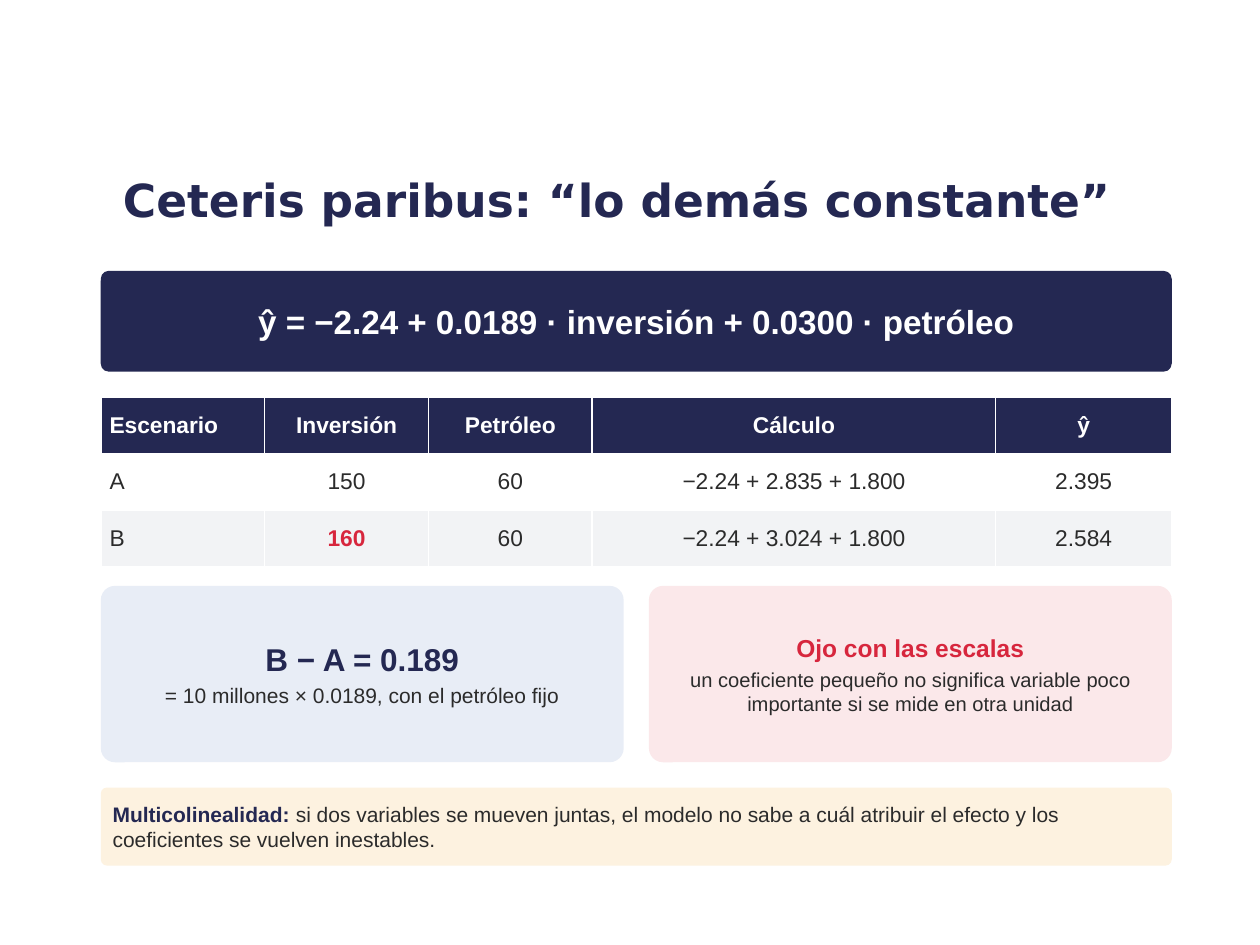
from dataclasses import dataclass

import pptx
import pptx.dml.color
import pptx.enum.shapes
import pptx.enum.text
import pptx.util
from pptx.util import Inches

COLORS = {
    "navy": "242852", "white": "FFFFFF", "ink": "2B2B2B", "red": "D7263D",
    "gray": "F2F3F5", "blue": "E8EDF6", "pink": "FBE8EA", "cream": "FDF2E0",
}
ALIGN = pptx.enum.text.PP_ALIGN
MIDDLE = pptx.enum.text.MSO_ANCHOR.MIDDLE

LEFT, WIDTH, GAP = 0.8, 8.5, 0.2
HALF = (WIDTH - GAP) / 2


@dataclass
class Span:
    text: str
    size: float
    color: str
    bold: bool = False
    face: str = "Arial"


@dataclass
class Card:
    left: float
    top: float
    width: float
    height: float
    fill: str
    paragraphs: list[list[Span]]
    align: ALIGN = ALIGN.CENTER


CARDS = [
    Card(LEFT, 2.15, WIDTH, 0.8, "navy", [
        [Span("ŷ = −2.24 + 0.0189 · inversión + 0.0300 · petróleo", 19, "white", True)],
    ]),
    Card(LEFT, 4.65, HALF, 1.4, "blue", [
        [Span("B − A = 0.189", 18, "navy", True)],
        [Span("= 10 millones × 0.0189, con el petróleo fijo", 12, "ink")],
    ]),
    Card(LEFT + HALF + GAP, 4.65, HALF, 1.4, "pink", [
        [Span("Ojo con las escalas", 14, "red", True)],
        [Span("un coeficiente pequeño no significa variable poco importante "
              "si se mide en otra unidad", 11.5, "ink")],
    ]),
    Card(LEFT, 6.25, WIDTH, 0.62, "cream", [
        [Span("Multicolinealidad: ", 12, "navy", True),
         Span("si dos variables se mueven juntas, el modelo no sabe a cuál atribuir "
              "el efecto y los coeficientes se vuelven inestables.", 12, "ink")],
    ], ALIGN.LEFT),
]

SCENARIOS = [
    ["Escenario", "Inversión", "Petróleo", "Cálculo", "ŷ"],
    ["A", "150", "60", "−2.24 + 2.835 + 1.800", "2.395"],
    ["B", "160", "60", "−2.24 + 3.024 + 1.800", "2.584"],
]
COLUMN_WIDTHS = [1.3, 1.3, 1.3, 3.2, 1.4]
ROW_HEIGHT = 0.45
ROW_FILLS = ["navy", "white", "gray"]
CHANGED_CELL = (2, 1)


def rgb(name: str) -> pptx.dml.color.RGBColor:
    return pptx.dml.color.RGBColor.from_string(COLORS[name])


def style_font(font, span: Span) -> None:
    font.name = span.face
    font.size = pptx.util.Pt(span.size)
    font.bold = span.bold
    font.color.rgb = rgb(span.color)


def write_paragraph(para, spans: list[Span], align: ALIGN) -> None:
    para.alignment = align
    for span in spans:
        run = para.add_run()
        run.text = span.text
        if len(spans) > 1:
            style_font(run.font, span)
    if len(spans) == 1:
        style_font(para.font, spans[0])


def set_margins(holder, horizontal: float, vertical: float) -> None:
    holder.margin_left = holder.margin_right = Inches(horizontal)
    holder.margin_top = holder.margin_bottom = Inches(vertical)


def place_title(page) -> None:
    title = page.shapes.title
    title.left, title.top = Inches(0.75), Inches(1.18)
    title.width, title.height = Inches(8.3), Inches(0.8)
    frame = title.text_frame
    frame.vertical_anchor = MIDDLE
    frame.word_wrap = True
    set_margins(frame, 0.1, 0.05)
    heading = Span("Ceteris paribus: “lo demás constante”", 26, "navy", True, "DejaVu Sans")
    write_paragraph(frame.paragraphs[0], [heading], ALIGN.CENTER)


def draw_card(page, card: Card) -> None:
    box = page.shapes.add_shape(
        pptx.enum.shapes.MSO_SHAPE.ROUNDED_RECTANGLE,
        Inches(card.left), Inches(card.top), Inches(card.width), Inches(card.height))
    box.adjustments[0] = 0.08
    box.shadow.inherit = False
    box.fill.solid()
    box.fill.fore_color.rgb = rgb(card.fill)
    box.line.fill.background()
    frame = box.text_frame
    frame.word_wrap = True
    frame.vertical_anchor = MIDDLE
    set_margins(frame, 0.08, 0.08)
    for index, spans in enumerate(card.paragraphs):
        para = frame.add_paragraph() if index else frame.paragraphs[0]
        para.space_after = pptx.util.Pt(3)
        write_paragraph(para, spans, card.align)


def cell_span(row: int, column: int) -> Span:
    """Header cells are white, the changed input is red, the rest is plain."""
    text = SCENARIOS[row][column]
    if row == 0:
        return Span(text, 13, "white", True)
    if (row, column) == CHANGED_CELL:
        return Span(text, 13, "red", True)
    return Span(text, 13, "ink")


def draw_scenarios(page) -> None:
    table = page.shapes.add_table(
        len(SCENARIOS), len(COLUMN_WIDTHS), Inches(LEFT), Inches(3.15),
        Inches(WIDTH), Inches(ROW_HEIGHT * len(SCENARIOS))).table
    for column, width in zip(table.columns, COLUMN_WIDTHS):
        column.width = Inches(width)
    for row, fill in enumerate(ROW_FILLS):
        table.rows[row].height = Inches(ROW_HEIGHT)
        for column in range(len(COLUMN_WIDTHS)):
            cell = table.cell(row, column)
            cell.fill.solid()
            cell.fill.fore_color.rgb = rgb(fill)
            cell.vertical_anchor = MIDDLE
            set_margins(cell, 0.07, 0.03)
            align = ALIGN.CENTER if column else ALIGN.LEFT
            write_paragraph(cell.text_frame.paragraphs[0], [cell_span(row, column)], align)


def main() -> None:
    deck = pptx.Presentation()
    deck.slide_width, deck.slide_height = Inches(10), Inches(7.5)
    page = deck.slides.add_slide(deck.slide_layouts.get_by_name("Title Only"))
    place_title(page)
    for card in CARDS:
        draw_card(page, card)
    draw_scenarios(page)
    deck.save("out.pptx")


if __name__ == "__main__":
    main()
